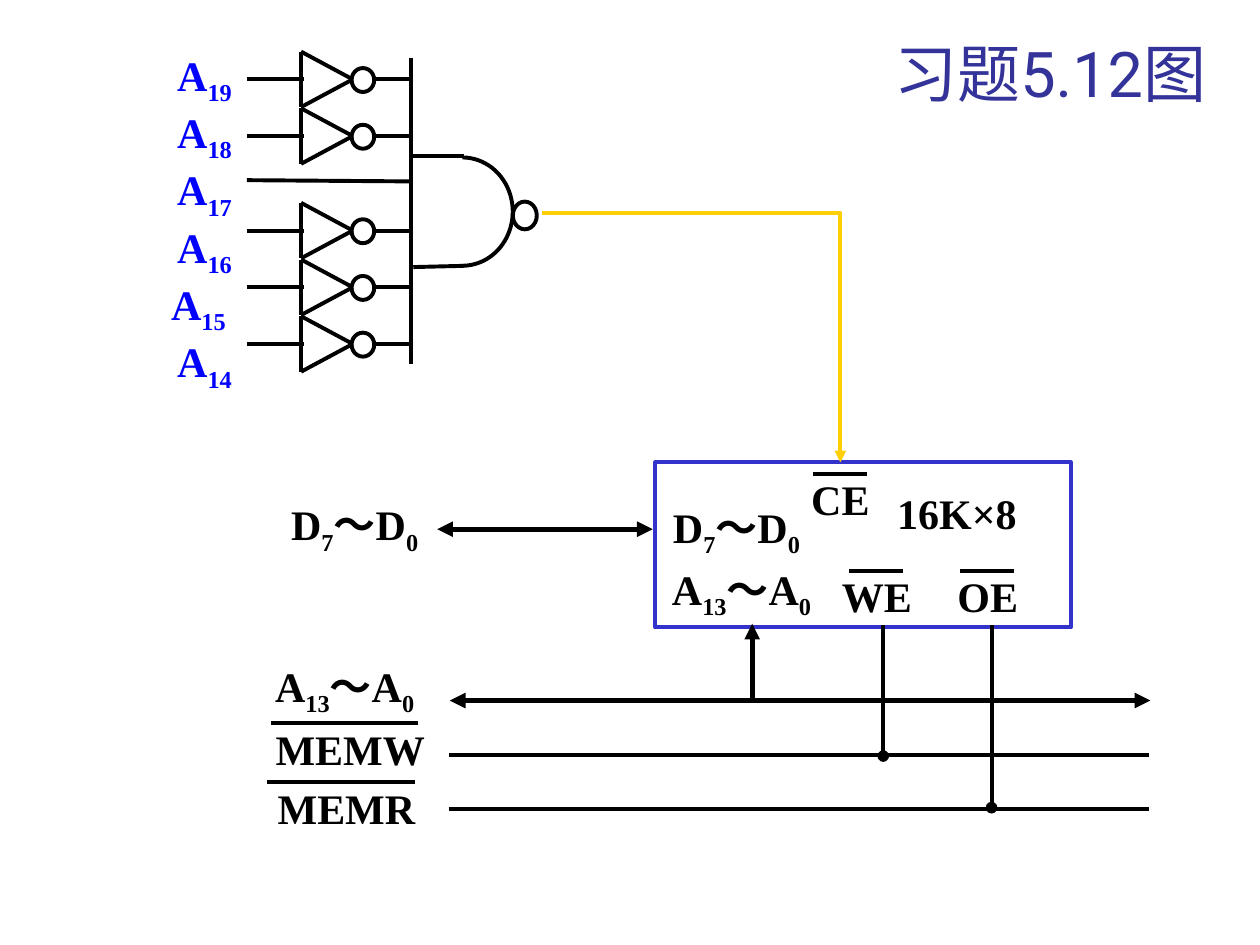
"""Build the address decoding circuit slide of exercise 5.12."""
from math import cos, pi, sin

from lxml import etree
from pptx import Presentation, util as u
from pptx.dml.color import RGBColor
from pptx.enum import shapes, text
from pptx.oxml.ns import qn

BLACK, BLUE, NAVY, GOLD = "000000", "0000FF", "3333CC", "FFCF01"
TRI, DOT = "triangle", "oval"

TITLE = "习题5.12图"
PINS = ["A_19", "A_18", "A_17", "A_16", "A_15 ", "A_14"]
DATA, ADDR = "D_7_～D_0", "A_13_～A_0"
LABELS = [
    (ADDR, 1.99, 5.23, 1.49, 0.47),
    (DATA, 2.07, 3.95, 1.49, 0.5),
    (ADDR, 5.14, 4.46, 1.49, 0.47),
    (DATA, 5.1, 3.97, 1.49, 0.5),
    ("16K×8", 6.94, 3.86, 1.31, 0.5),
]
BARRED = [
    ("CE", 6.14, 3.75, 1.06, 0.41, 0.31, 0.43),
    ("WE", 6.43, 4.52, 1.06, 0.41, 0.31, 0.43),
    ("OE", 7.31, 4.52, 1.06, 0.41, 0.31, 0.43),
    ("MEMW", 1.96, 5.73, 1.64, 0.39, 0.19, 1.17),
    ("MEMR", 1.93, 6.2, 1.64, 0.39, 0.19, 1.17),
]
WIRES = [
    (3.26, 0.46, 3.26, 2.89),
    (3.26, 1.44, 1.96, 1.43),
    (3.68, 1.24, 3.28, 1.24),
    (3.68, 2.11, 3.28, 2.12),
    (3.56, 5.99, 9.12, 5.99),
    (3.56, 6.42, 9.12, 6.42),
]
ARROWS = [
    (3.47, 4.2, 5.18, 4.2, 3, TRI, TRI),
    (3.57, 5.56, 9.13, 5.56, 3, TRI, TRI),
    (5.97, 5.56, 5.97, 4.95, 3, None, TRI),
    (7.01, 4.96, 7.01, 6, 2.25, None, DOT),
    (7.87, 4.96, 7.87, 6.41, 2.25, None, DOT),
]
GATES = [0.63, 1.08, 1.83, 2.28, 2.73]
SELECT = [(4.3, 1.69), (6.67, 1.69), (6.67, 3.67)]


def size(inch):
    return u.Cm(inch * 2.54)


def color(code):
    return RGBColor.from_string(code)


def style(line, code=BLACK, width=2.25, head=None, tail=None):
    line.color.rgb = color(code)
    line.width = u.Pt(width)
    for tag, kind in (("a:headEnd", head), ("a:tailEnd", tail)):
        if kind:
            etree.SubElement(line._get_or_add_ln(), qn(tag), type=kind)


def wire(tree, x1, y1, x2, y2, width=2.25, head=None, tail=None):
    ends = [size(v) for v in (x1, y1, x2, y2)]
    item = tree.add_connector(shapes.MSO_CONNECTOR.STRAIGHT, *ends)
    style(item.line, BLACK, width, head, tail)
    etree.SubElement(item._element.spPr, qn("a:effectLst"))


def shape(tree, kind, box, code=BLACK, fill=None):
    item = tree.add_shape(kind, *map(size, box))
    item.shadow.inherit = False
    if fill:
        item.fill.solid()
        item.fill.fore_color.rgb = color(fill)
    else:
        item.fill.background()
    style(item.line, code)


def trace(tree, points, code=BLACK, tail=None):
    spots = [(size(x), size(y)) for x, y in points]
    maker = tree.build_freeform(*spots[0])
    maker.add_line_segments(spots[1:], close=False)
    item = maker.convert_to_shape()
    item.shadow.inherit = False
    item.fill.background()
    style(item.line, code, tail=tail)


def write(tree, lines, box, align, code=BLACK, pt=24, face="Times New Roman",
          bold=True, pads=(0.01, 0.01), anchor=text.MSO_ANCHOR.TOP):
    frame = tree.add_textbox(*map(size, box)).text_frame
    frame.word_wrap = True
    frame.vertical_anchor = anchor
    frame.margin_left = frame.margin_right = size(pads[0])
    frame.margin_top = frame.margin_bottom = size(pads[1])
    for row, line in enumerate(lines):
        para = frame.paragraphs[0] if row == 0 else frame.add_paragraph()
        para.alignment = align
        font = para.font
        font.name, font.size, font.bold = face, u.Pt(pt), bold
        font.color.rgb = color(code)
        for part, words in enumerate(line.split("_")):
            run = para.add_run()
            run.text = words
            if part % 2:
                run._r.get_or_add_rPr().set("baseline", "-25000")


def gate(tree, y):
    wire(tree, 2.41, y, 1.96, y)
    shape(tree, shapes.MSO_SHAPE.OVAL, (2.79, y - 0.09, 0.18, 0.19),
          fill="FFFFFF")
    wire(tree, 2.39, y - 0.22, 2.39, y + 0.22)
    for side in (-1, 1):
        wire(tree, 2.8, y, 2.39, y + side * 0.22)
    wire(tree, 3.26, y, 2.98, y)


def main():
    deck = Presentation()
    deck.slide_width, deck.slide_height = size(10), size(7.5)
    tree = deck.slides.add_slide(deck.slide_layouts[6]).shapes
    left, mid, right = (text.PP_ALIGN.LEFT, text.PP_ALIGN.CENTER,
                        text.PP_ALIGN.RIGHT)

    write(tree, [TITLE], (7, 0, 3, 0.92), left, "333399", 36, "Roboto",
          False, (0.1, 0.05), text.MSO_ANCHOR.BOTTOM)
    write(tree, PINS, (1.06, 0.38, 0.79, 2.6), right, BLUE)
    shape(tree, shapes.MSO_SHAPE.RECTANGLE, (5.2, 3.67, 3.3, 1.31), NAVY)
    shape(tree, shapes.MSO_SHAPE.OVAL, (4.07, 1.6, 0.19, 0.22))
    trace(tree, SELECT, GOLD, TRI)
    turns = [step * pi / 40 for step in range(21)]
    for side in (-1, 1):
        trace(tree, [(3.67 + 0.4 * sin(a), 1.68 + side * 0.43 * cos(a))
                     for a in turns])
    for ends in WIRES + ARROWS:
        wire(tree, *ends)
    for y in GATES:
        gate(tree, y)
    for words, *box in LABELS:
        write(tree, [words], box, mid)
    for words, x, y, w, h, shift, span in BARRED:
        write(tree, [words], (x, y, w, h), mid)
        wire(tree, x + shift, y + 0.01, x + shift + span, y + 0.01)
    deck.save("out.pptx")


if __name__ == "__main__":
    main()
